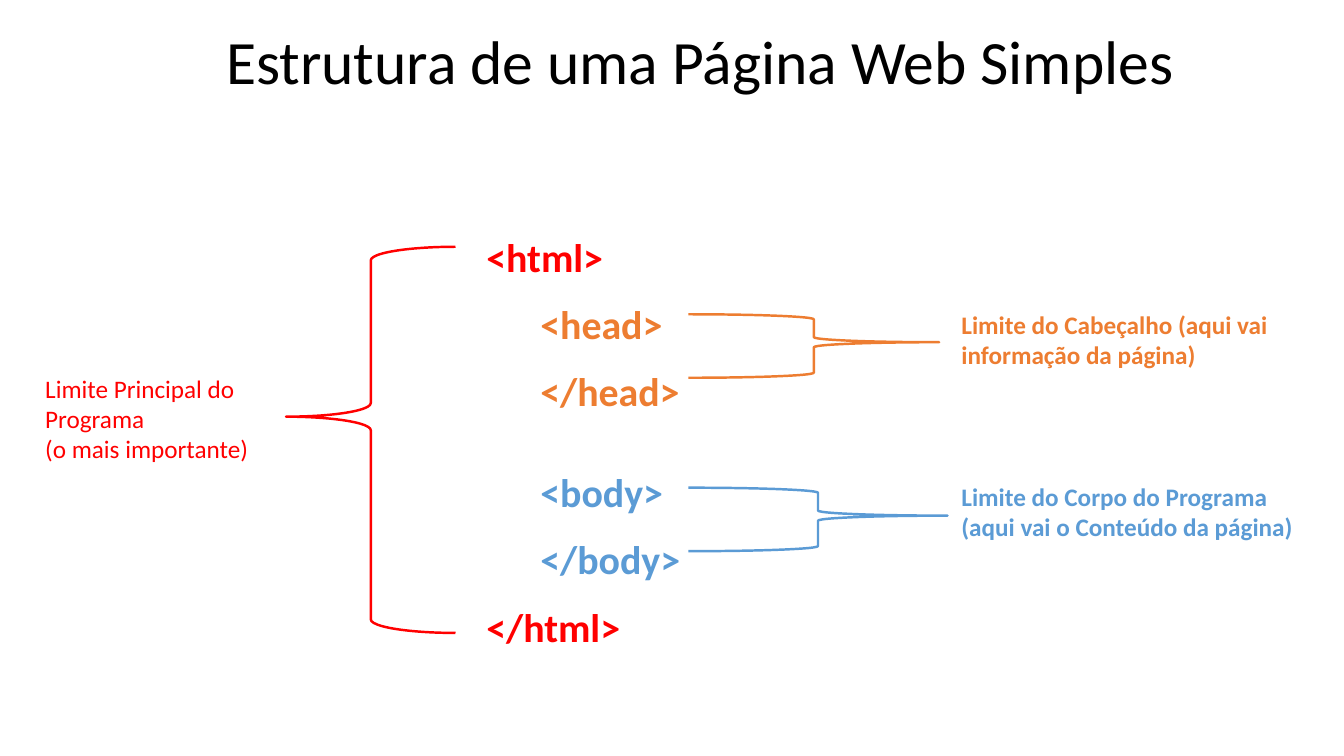
from pptx import Presentation
from pptx.dml.color import RGBColor
from pptx.enum.shapes import MSO_SHAPE as SHAPE
from pptx.enum.text import MSO_ANCHOR as ANCHOR, MSO_AUTO_SIZE as AUTO, PP_ALIGN as ALIGN
from pptx.util import Cm, Pt

RED, ORANGE, BLUE, BLACK = "FF0000", "ED7D31", "5B9BD5", "000000"


def rgb(value):
    return RGBColor.from_string(value)


def style(p, size, color, bold=False):
    p.font.name = "Calibri"
    p.font.size = Pt(size)
    p.font.bold = bold
    p.font.color.rgb = rgb(color)


prs = Presentation()
prs.slide_width, prs.slide_height = Cm(33.87), Cm(19.05)
s = prs.slides.add_slide(prs.slide_layouts[5])

title = s.shapes.title
title.left, title.top, title.width, title.height = Cm(4.95), Cm(0.48), Cm(25.4), Cm(2.29)
tf = title.text_frame
tf.text = "Estrutura de uma Página Web Simples"
tf.auto_size = AUTO.NONE
tf.vertical_anchor = ANCHOR.MIDDLE
p = tf.paragraphs[0]
p.alignment = ALIGN.CENTER
p.line_spacing = 0.9
style(p, 44, BLACK)

tags = [
    ("<html>", RED, 0, 0),
    ("<head>", ORANGE, 1.36, 24),
    ("</head>", ORANGE, 1.36, 24),
    ("<body>", BLUE, 1.36, 48),
    ("</body>", BLUE, 1.36, 24),
    ("</html>", RED, 0, 24),
]
code = s.shapes.add_textbox(Cm(12.01), Cm(5.49), Cm(14.43), Cm(11.86))
tf = code.text_frame
tf.word_wrap = True
tf.vertical_anchor = ANCHOR.BOTTOM
tf.margin_bottom = Cm(0.97)
for i, (tag, color, indent, gap) in enumerate(tags):
    p = tf.add_paragraph() if i else tf.paragraphs[0]
    p.text = tag
    p.line_spacing = Pt(24)
    p.space_before = Pt(gap)
    p._p.get_or_add_pPr().set("marL", str(Cm(indent)))
    style(p, 28.5, color, True)

braces = [
    (SHAPE.LEFT_BRACE, RED, 7.21, 6.22, 4.27, 9.73),
    (SHAPE.RIGHT_BRACE, ORANGE, 17.35, 7.92, 6.32, 1.6),
    (SHAPE.RIGHT_BRACE, BLUE, 17.35, 12.29, 6.53, 1.6),
]
for kind, color, *box in braces:
    sp = s.shapes.add_shape(kind, *map(Cm, box))
    sp.adjustments[0], sp.adjustments[1] = 0.08, 0.44
    sp.shadow.inherit = False
    sp.fill.background()
    sp.line.color.rgb = rgb(color)
    sp.line.width = Pt(1.75)

labels = [
    ("Limite Principal do Programa\n(o mais importante)", RED, False, 0.89, 9.27, 5.74, 2.57),
    ("Limite do Cabeçalho (aqui vai informação da página)", ORANGE, True, 23.98, 7.67, 8.74, 1.8),
    ("Limite do Corpo do Programa (aqui vai o Conteúdo da página)", BLUE, True, 23.98, 12.01, 9.09, 1.8),
]
for text, color, bold, *box in labels:
    tf = s.shapes.add_textbox(*map(Cm, box)).text_frame
    tf.word_wrap = True
    tf.text = text
    for p in tf.paragraphs:
        style(p, 18, color, bold)

prs.save("out.pptx")
